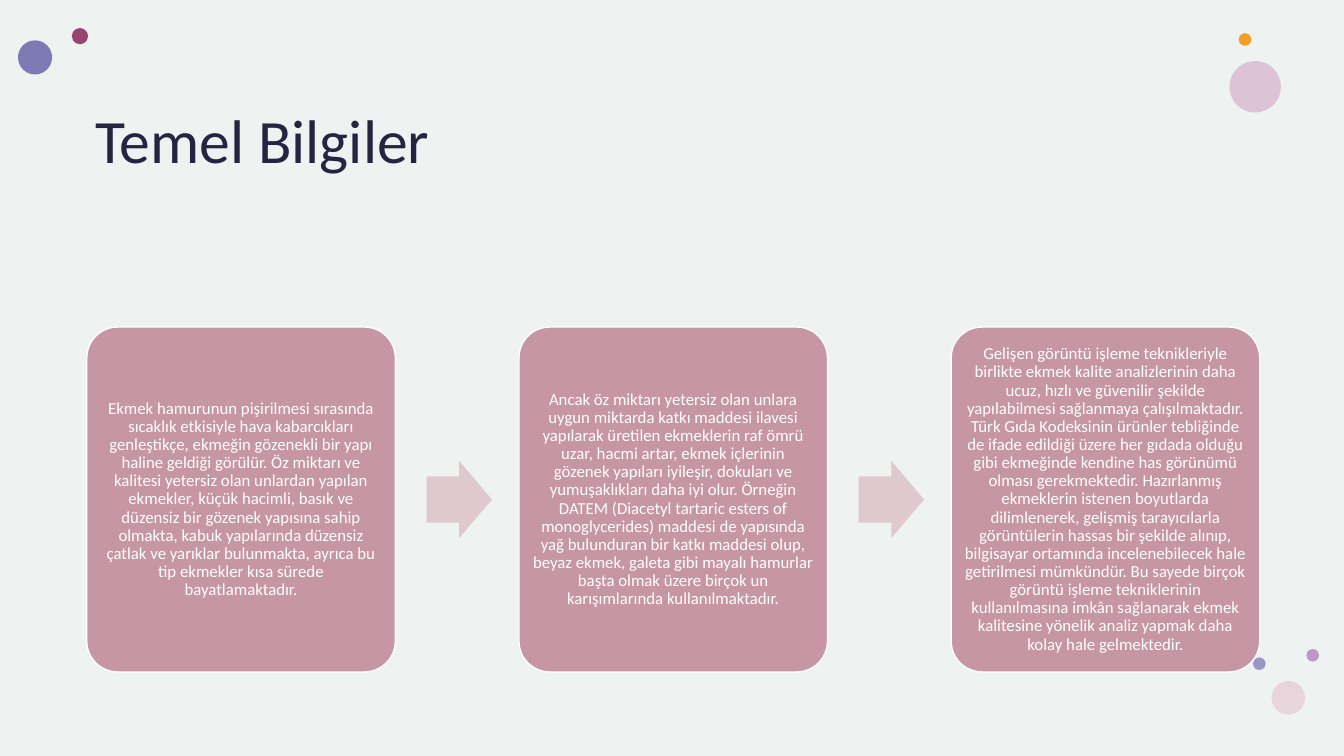
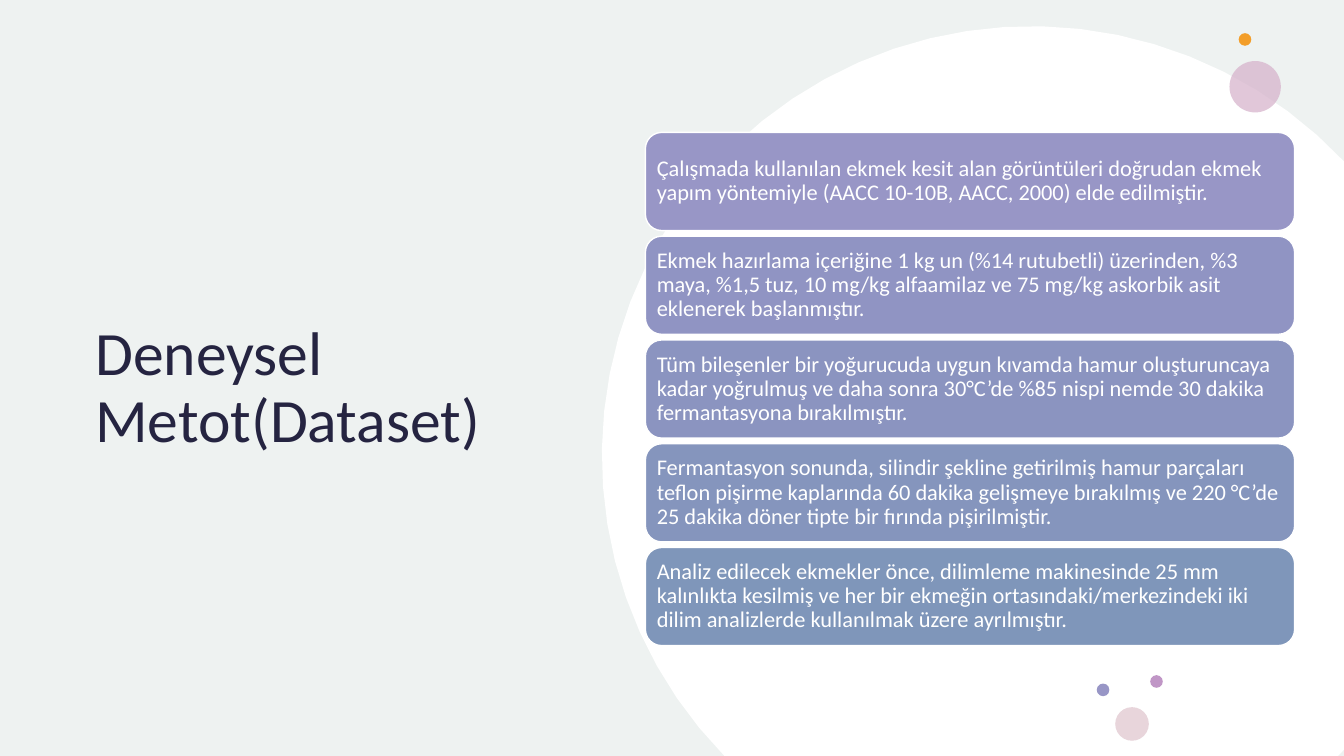
import math

import pptx
import pptx.dml.color
import pptx.enum.shapes
import pptx.enum.text
import pptx.oxml.ns
import pptx.util
from lxml import etree

Pt = pptx.util.Pt
SHAPE = pptx.enum.shapes.MSO_SHAPE
ALIGN = pptx.enum.text.PP_ALIGN
ANCHOR = pptx.enum.text.MSO_ANCHOR

WIDTH, HEIGHT = 960, 540
FONT = "Calibri"
COLORS = {
    "background": "EEF2F1",
    "white": "FFFFFF",
    "title": "252441",
    "card": "C696A5",
    "arrow": "DFC9CF",
    "plum": "97446E",
    "indigo": "7D7BB6",
    "pink": "D6B2CB",
    "orange": "F39E29",
    "violet": "C096C6",
    "blush": "E8D5DB",
    "periwinkle": "9896C6",
    "step1": "9896C6",
    "step2": "9094C3",
    "step3": "8B94C0",
    "step4": "8595BD",
    "step5": "7F96BA",
}
LEFT_DOTS = [("plum", 38.5, 0, 11.6), ("indigo", 0, 8.8, 24.4)]
RIGHT_DOTS = [("pink", 0, 19.9, 36.7), ("orange", 6.6, 0, 9)]
BOTTOM_DOTS = [("violet", 38.2, 0, 9), ("blush", 13.2, 22.8, 24), ("periwinkle", 0, 6, 9)]

CARD_TEXTS = [
    "Ekmek hamurunun pişirilmesi sırasında sıcaklık etkisiyle hava kabarcıkları "
    "genleştikçe, ekmeğin gözenekli bir yapı haline geldiği görülür. Öz miktarı ve "
    "kalitesi yetersiz olan unlardan yapılan ekmekler, küçük hacimli, basık ve düzensiz "
    "bir gözenek yapısına sahip olmakta, kabuk yapılarında düzensiz çatlak ve yarıklar "
    "bulunmakta, ayrıca bu tip ekmekler kısa sürede bayatlamaktadır.",
    "Ancak öz miktarı yetersiz olan unlara uygun miktarda katkı maddesi ilavesi yapılarak "
    "üretilen ekmeklerin raf ömrü uzar, hacmi artar, ekmek içlerinin gözenek yapıları "
    "iyileşir, dokuları ve yumuşaklıkları daha iyi olur. Örneğin DATEM (Diacetyl tartaric "
    "esters of monoglycerides) maddesi de yapısında yağ bulunduran bir katkı maddesi olup, "
    "beyaz ekmek, galeta gibi mayalı hamurlar başta olmak üzere birçok un karışımlarında "
    "kullanılmaktadır.",
    "Gelişen görüntü işleme teknikleriyle birlikte ekmek kalite analizlerinin daha ucuz, "
    "hızlı ve güvenilir şekilde yapılabilmesi sağlanmaya çalışılmaktadır. Türk Gıda "
    "Kodeksinin ürünler tebliğinde de ifade edildiği üzere her gıdada olduğu gibi ekmeğinde "
    "kendine has görünümü olması gerekmektedir. Hazırlanmış ekmeklerin istenen boyutlarda "
    "dilimlenerek, gelişmiş tarayıcılarla görüntülerin hassas bir şekilde alınıp, bilgisayar "
    "ortamında incelenebilecek hale getirilmesi mümkündür. Bu sayede birçok görüntü işleme "
    "tekniklerinin kullanılmasına imkân sağlanarak ekmek kalitesine yönelik analiz yapmak "
    "daha kolay hale gelmektedir.",
]
STEP_TEXTS = [
    "Çalışmada kullanılan ekmek kesit alan görüntüleri doğrudan ekmek yapım yöntemiyle "
    "(AACC 10-10B, AACC, 2000) elde edilmiştir.",
    "Ekmek hazırlama içeriğine 1 kg un (%14 rutubetli) üzerinden, %3 maya, %1,5 tuz, "
    "10 mg/kg alfaamilaz ve 75 mg/kg askorbik asit eklenerek başlanmıştır.",
    "Tüm bileşenler bir yoğurucuda uygun kıvamda hamur oluşturuncaya kadar yoğrulmuş ve "
    "daha sonra 30°C’de %85 nispi nemde 30 dakika fermantasyona bırakılmıştır.",
    "Fermantasyon sonunda, silindir şekline getirilmiş hamur parçaları teflon pişirme "
    "kaplarında 60 dakika gelişmeye bırakılmış ve 220 °C’de 25 dakika döner tipte bir "
    "fırında pişirilmiştir.",
    "Analiz edilecek ekmekler önce, dilimleme makinesinde 25 mm kalınlıkta kesilmiş ve her "
    "bir ekmeğin ortasındaki/merkezindeki iki dilim analizlerde kullanılmak üzere ayrılmıştır.",
]


def rgb(name):
    """Return the named colour."""
    return pptx.dml.color.RGBColor.from_string(COLORS[name])


def paint(shape, fill, line=None):
    """Give a shape a flat fill and an optional one-point line."""
    shape.shadow.inherit = False
    shape.fill.solid()
    shape.fill.fore_color.rgb = rgb(fill)
    if line:
        shape.line.color.rgb = rgb(line)
        shape.line.width = Pt(1)
    else:
        shape.line.fill.background()


def add_preset(slide, preset, box, fill, line=None):
    """Add a painted preset shape in a box of points."""
    shape = slide.shapes.add_shape(preset, *map(Pt, box))
    paint(shape, fill, line)
    return shape


def write(shape, text, size, color, align, anchor, insets):
    """Write one paragraph into a shape; insets are horizontal and vertical."""
    frame = shape.text_frame
    frame.word_wrap = True
    frame.vertical_anchor = anchor
    frame.margin_left = frame.margin_right = Pt(insets[0])
    frame.margin_top = frame.margin_bottom = Pt(insets[1])
    paragraph = frame.paragraphs[0]
    paragraph.alignment = align
    paragraph.line_spacing = 0.9
    run = paragraph.add_run()
    run.text = text
    run.font.name = FONT
    run.font.size = Pt(size)
    run.font.color.rgb = rgb(color)


def add_title(slide, text, box, anchor):
    """Add the slide title."""
    title = slide.shapes.add_textbox(*map(Pt, box))
    write(title, text, 44, "title", ALIGN.LEFT, anchor, (7.2, 3.6))


def add_dots(slide, dots, left, top):
    """Add a cluster of dots; the pink one is translucent."""
    for color, x, y, size in dots:
        dot = add_preset(slide, SHAPE.OVAL, (left + x, top + y, size, size), color)
        if color == "pink":
            tint = dot.fill._xPr.find(".//" + pptx.oxml.ns.qn("a:srgbClr"))
            etree.SubElement(tint, pptx.oxml.ns.qn("a:alpha"), val="72000")


def add_disc(slide, center_x, center_y, radius):
    """Add the large white disc, cut off at the right and bottom slide edges."""
    right, bottom = WIDTH - center_x, HEIGHT - center_y
    side = math.acos(right / radius)
    start = math.pi - math.asin(bottom / radius)
    sweep = 2 * math.pi - side - start
    segments = 36
    angles = [start + sweep * index / segments for index in range(segments + 1)]
    angles += [side, math.asin(bottom / radius)]
    points = [(Pt(center_x + radius * math.cos(angle)), Pt(center_y + radius * math.sin(angle)))
              for angle in angles]
    builder = slide.shapes.build_freeform(*points[0])
    builder.add_line_segments(points[1:], close=True)
    paint(builder.convert_to_shape(), "white")


def add_flow(slide, box):
    """Add a row of text cards with arrows between them."""
    left, top, width, height = box
    gap, arrow_width, arrow_height = 88.3, 46.7, 55
    card_width = (width - gap * (len(CARD_TEXTS) - 1)) / len(CARD_TEXTS)
    for index, text in enumerate(CARD_TEXTS):
        x = left + index * (card_width + gap)
        if index:
            arrow_box = (x - gap + 22.3, top + (height - arrow_height) / 2,
                         arrow_width, arrow_height)
            arrow = add_preset(slide, SHAPE.RIGHT_ARROW, arrow_box, "arrow")
            arrow.adjustments[0] = 0.6
            arrow.adjustments[1] = 0.5
        card = add_preset(slide, SHAPE.ROUNDED_RECTANGLE,
                          (x, top, card_width, height), "card", "white")
        card.adjustments[0] = 0.1
        write(card, text, 12, "white", ALIGN.CENTER, ANCHOR.MIDDLE, (3.2, 3.6))


def add_steps(slide, box):
    """Add a stack of text bars."""
    left, top, width, height = box
    gap = 4
    bar_height = (height - gap * (len(STEP_TEXTS) - 1)) / len(STEP_TEXTS)
    for index, text in enumerate(STEP_TEXTS):
        bar_box = (left, top + index * (bar_height + gap), width, bar_height)
        bar = add_preset(slide, SHAPE.ROUNDED_RECTANGLE, bar_box,
                         f"step{index + 1}", "white")
        write(bar, text, 16, "white", ALIGN.LEFT, ANCHOR.MIDDLE, (4.8, 4.8))


def add_slide(presentation):
    """Add a blank slide with the shared background."""
    slide = presentation.slides.add_slide(presentation.slide_layouts[6])
    slide.background.fill.solid()
    slide.background.fill.fore_color.rgb = rgb("background")
    return slide


def build_basics(presentation):
    """Build the slide with the row of cards."""
    slide = add_slide(presentation)
    add_dots(slide, LEFT_DOTS, 12.8, 20)
    add_dots(slide, RIGHT_DOTS, 878.2, 23.7)
    add_dots(slide, BOTTOM_DOTS, 895, 463.6)
    add_title(slide, "Temel Bilgiler", (61, 75, 848, 142), ANCHOR.TOP)
    add_flow(slide, (62, 233.6, 837.8, 246.4))


def build_method(presentation):
    """Build the slide with the stack of steps."""
    slide = add_slide(presentation)
    add_title(slide, "Deneysel Metot(Dataset)", (61, 75, 363, 406), ANCHOR.MIDDLE)
    add_disc(slide, 736.6, 325.4, 306.7)
    add_dots(slide, RIGHT_DOTS, 878.2, 23.7)
    add_dots(slide, BOTTOM_DOTS, 783.4, 482.3)
    add_steps(slide, (461, 94.6, 463.8, 366.6))


def main():
    """Build and save the presentation."""
    presentation = pptx.Presentation()
    presentation.slide_width = Pt(WIDTH)
    presentation.slide_height = Pt(HEIGHT)
    build_basics(presentation)
    build_method(presentation)
    presentation.save("out.pptx")


if __name__ == "__main__":
    main()
